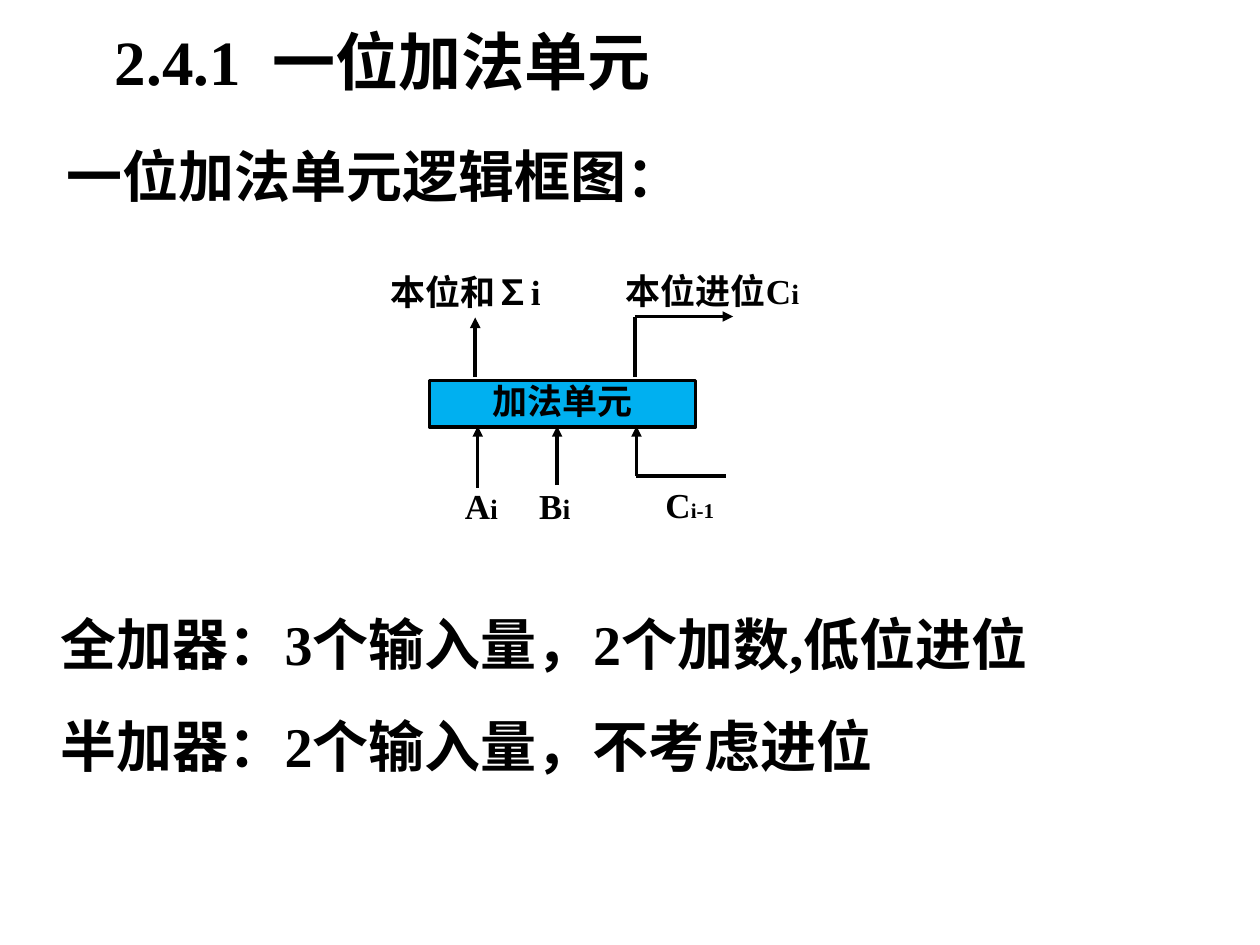
from dataclasses import dataclass

from lxml import etree
from pptx import Presentation
from pptx.dml.color import RGBColor
from pptx.enum.shapes import MSO_CONNECTOR, MSO_SHAPE
from pptx.enum.text import MSO_ANCHOR, MSO_AUTO_SIZE, PP_ALIGN
from pptx.oxml.ns import qn
from pptx.util import Cm, Pt

STRAIGHT = MSO_CONNECTOR.STRAIGHT
RECTANGLE = MSO_SHAPE.RECTANGLE
TOP, MIDDLE = MSO_ANCHOR.TOP, MSO_ANCHOR.MIDDLE
NO_AUTOSIZE = MSO_AUTO_SIZE.NONE
LEFT, CENTER = PP_ALIGN.LEFT, PP_ALIGN.CENTER

BLACK = RGBColor(0x00, 0x00, 0x00)
UNIT_BLUE = RGBColor(0x00, 0xB0, 0xF0)
FONT = "Times New Roman"
TIGHT = 0.7


@dataclass(frozen=True)
class Label:
    left: float
    top: float
    width: float
    height: float
    runs: tuple[tuple[str, int], ...]
    align: PP_ALIGN = CENTER
    spacing: float = TIGHT
    tab: float | None = None


@dataclass(frozen=True)
class Wire:
    start: tuple[float, float]
    end: tuple[float, float]
    arrow: bool = True


TITLE = Label(2.06, 0.33, 15.65, 1.8, (("2.4.1  一位加法单元", 36),), LEFT, 1.0)
UNIT = Label(8.66, 7.67, 5.36, 0.94, (("加法单元", 20),))
LABELS = (
    Label(1.09, 3.1, 14.38, 1.22, (("一位加法单元逻辑框图：", 32),), LEFT),
    Label(7.29, 5.56, 4.19, 0.89, (("本位和∑i", 20),)),
    Label(12.01, 5.54, 4.7, 0.86, (("本位进位C", 20), ("i", 16))),
    Label(9.12, 9.88, 3.0, 0.86,
          (("A", 20), ("i", 16), ("\tB", 20), ("i", 16)), LEFT, tab=1.5),
    Label(11.81, 9.86, 4.19, 0.86, (("C", 20), ("i-1", 12))),
    Label(0.97, 12.17, 22.66, 1.6,
          (("全加器：3个输入量，2个加数,低位进位", 32),), LEFT, 1.0),
    Label(0.97, 14.22, 17.75, 1.6,
          (("半加器：2个输入量，不考虑进位", 32),), LEFT, 1.0),
)

UNIT_BOTTOM = 8.59
OUTPUT_START, OUTPUT_END = 7.6, 6.4
SUM_X, CARRY_OUT_X = 9.58, 12.8
A_X, B_X, CARRY_IN_X = 9.63, 11.23, 12.83
CARRY_IN_Y = 9.6
WIRES = (
    Wire((A_X, 9.83), (A_X, UNIT_BOTTOM)),
    Wire((B_X, 9.78), (B_X, UNIT_BOTTOM)),
    Wire((CARRY_IN_X, CARRY_IN_Y), (CARRY_IN_X, UNIT_BOTTOM)),
    Wire((CARRY_IN_X, CARRY_IN_Y), (14.63, CARRY_IN_Y), arrow=False),
    Wire((SUM_X, OUTPUT_START), (SUM_X, OUTPUT_END)),
    Wire((CARRY_OUT_X, OUTPUT_START), (CARRY_OUT_X, OUTPUT_END), arrow=False),
    Wire((CARRY_OUT_X, 6.38), (14.78, 6.38)),
)


def write_text(frame, label: Label, anchor: MSO_ANCHOR = TOP) -> None:
    frame.word_wrap = True
    frame.auto_size = NO_AUTOSIZE
    frame.vertical_anchor = anchor
    paragraph = frame.paragraphs[0]
    paragraph.alignment = label.align
    paragraph.line_spacing = label.spacing
    paragraph.space_before = Pt(0)
    if label.tab is not None:
        tabs = etree.SubElement(paragraph._p.get_or_add_pPr(), qn("a:tabLst"))
        etree.SubElement(tabs, qn("a:tab"), pos=str(Cm(label.tab)), algn="l")
    for text, size in label.runs:
        run = paragraph.add_run()
        run.text = text
        run.font.name = FONT
        run.font.size = Pt(size)
        run.font.bold = True
        run.font.color.rgb = BLACK


def box_of(label: Label) -> tuple[Cm, Cm, Cm, Cm]:
    return Cm(label.left), Cm(label.top), Cm(label.width), Cm(label.height)


def add_title(slide, label: Label) -> None:
    title = slide.shapes.title
    title.left, title.top, title.width, title.height = box_of(label)
    write_text(title.text_frame, label)


def add_label(slide, label: Label) -> None:
    write_text(slide.shapes.add_textbox(*box_of(label)).text_frame, label)


def add_unit(slide, label: Label) -> None:
    unit = slide.shapes.add_shape(RECTANGLE, *box_of(label))
    unit.shadow.inherit = False
    unit.fill.solid()
    unit.fill.fore_color.rgb = UNIT_BLUE
    unit.line.color.rgb = BLACK
    unit.line.width = Pt(2)
    unit.text_frame.margin_top = Cm(0.2)
    unit.text_frame.margin_bottom = Cm(0.13)
    write_text(unit.text_frame, label, MIDDLE)


def add_wire(slide, wire: Wire) -> None:
    ends = [Cm(value) for value in (*wire.start, *wire.end)]
    connector = slide.shapes.add_connector(STRAIGHT, *ends)
    connector.line.color.rgb = BLACK
    connector.line.width = Pt(2)
    if wire.arrow:
        line = connector.line._get_or_add_ln()
        etree.SubElement(line, qn("a:tailEnd"), type="triangle")
    etree.SubElement(connector._element.spPr, qn("a:effectLst"))


def main() -> None:
    deck = Presentation()
    deck.slide_width, deck.slide_height = Cm(25.4), Cm(19.05)
    slide = deck.slides.add_slide(deck.slide_layouts[5])
    add_title(slide, TITLE)
    add_unit(slide, UNIT)
    for wire in WIRES:
        add_wire(slide, wire)
    for label in LABELS:
        add_label(slide, label)
    deck.save("out.pptx")


if __name__ == "__main__":
    main()
